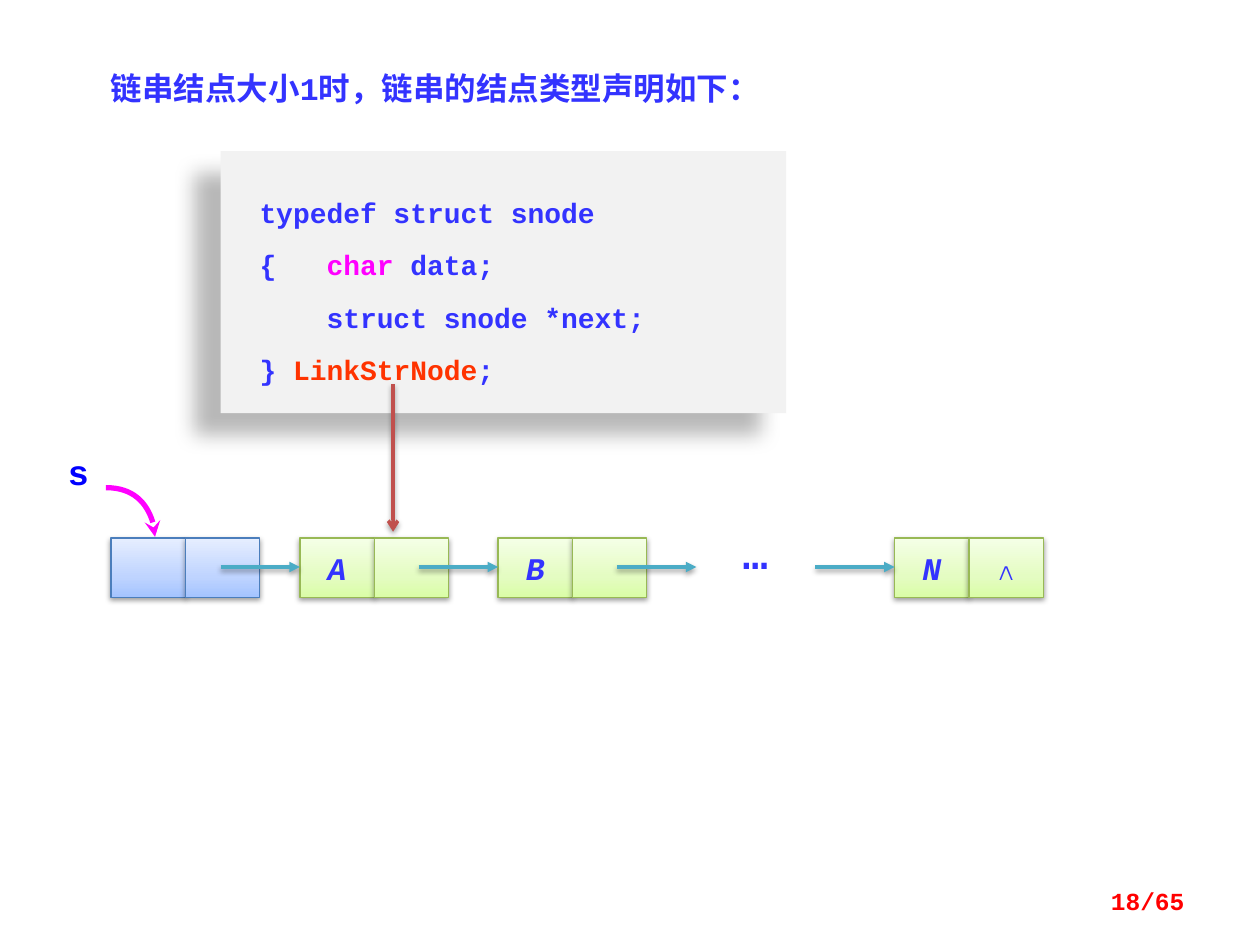
import copy
from dataclasses import dataclass

import pptx
import pptx.dml.color
import pptx.enum.dml
import pptx.enum.shapes
import pptx.enum.text
import pptx.oxml
import pptx.oxml.ns
import pptx.util
from pptx.util import Inches, Pt

RGBColor = pptx.dml.color.RGBColor
PP_ALIGN = pptx.enum.text.PP_ALIGN
MSO_ANCHOR = pptx.enum.text.MSO_ANCHOR
MSO_SHAPE = pptx.enum.shapes.MSO_SHAPE
qn = pptx.oxml.ns.qn

FONT = "Courier New"
BLUE = RGBColor(0x33, 0x33, 0xFF)
POINTER_BLUE = RGBColor(0x00, 0x00, 0xFF)
MAGENTA = RGBColor(0xFF, 0x00, 0xFF)
ORANGE = RGBColor(0xFF, 0x33, 0x00)
RED = RGBColor(0xFF, 0x00, 0x00)
PANEL_GREY = RGBColor(0xF2, 0xF2, 0xF2)
LINK_TEAL = RGBColor(0x4B, 0xAC, 0xC6)
TYPE_RED = RGBColor(0xC0, 0x50, 0x4D)

CELL_WIDTH, CELL_HEIGHT = 0.59, 0.47
NODE_TOP, LINK_Y, LINK_LENGTH = 4.27, 4.5, 0.63
HEAD_LEFT, FIRST_LEFT, LAST_LEFT = 0.88, 2.38, 7.1
PITCH = (LAST_LEFT - FIRST_LEFT) / 3


@dataclass(frozen=True)
class Shadow:
    blur: float
    distance: float
    angle: int
    opacity: int


@dataclass(frozen=True)
class Palette:
    bottom: RGBColor
    middle: RGBColor
    top: RGBColor
    outline: RGBColor


@dataclass(frozen=True)
class Node:
    left: float
    palette: Palette
    data: str = ""
    link: str = ""


SOFT = Shadow(3.1, 1.6, 90, 38)
DEEP = Shadow(11.8, 19.7, 141, 28)
HEAD = Palette(RGBColor(0xA4, 0xC4, 0xFF), RGBColor(0xBF, 0xD4, 0xFF),
               RGBColor(0xE6, 0xEE, 0xFF), RGBColor(0x4B, 0x7E, 0xBC))
DATA = Palette(RGBColor(0xDA, 0xFD, 0xA7), RGBColor(0xE4, 0xFC, 0xC2),
               RGBColor(0xF5, 0xFF, 0xE7), RGBColor(0x98, 0xB9, 0x55))
NODES = [
    Node(HEAD_LEFT, HEAD),
    Node(FIRST_LEFT, DATA, "A"),
    Node(FIRST_LEFT + PITCH, DATA, "B"),
    Node(LAST_LEFT, DATA, "N", "∧"),
]
CODE = [
    [("typedef struct snode", BLUE)],
    [("{   ", BLUE), ("char ", MAGENTA), ("data;", BLUE)],
    [("    struct snode *next;", BLUE)],
    [("} ", BLUE), ("LinkStrNode", ORANGE), (";", BLUE)],
]


def cast_shadow(shape, shadow: Shadow) -> None:
    """Add an outer shadow; call after fill and line are set."""
    shape._element.spPr.append(pptx.oxml.parse_xml(
        f'<a:effectLst {pptx.oxml.ns.nsdecls("a")}>'
        f'<a:outerShdw blurRad="{Pt(shadow.blur)}" dist="{Pt(shadow.distance)}"'
        f' dir="{shadow.angle * 60000}" rotWithShape="0">'
        f'<a:srgbClr val="000000"><a:alpha val="{shadow.opacity * 1000}"/>'
        '</a:srgbClr></a:outerShdw></a:effectLst>'))


def style_line(shape, color: RGBColor, width: float, arrowhead: str = "") -> None:
    shape.line.color.rgb = color
    shape.line.width = Pt(width)
    if arrowhead:
        shape._element.spPr.find(qn("a:ln")).append(pptx.oxml.parse_xml(
            f'<a:tailEnd {pptx.oxml.ns.nsdecls("a")} type="{arrowhead}"/>'))


def set_font(para, size: float, color: RGBColor, italic: bool = False) -> None:
    font = para.font
    font.name, font.size, font.bold, font.italic = FONT, Pt(size), True, italic
    font.color.rgb = color


def add_label(page, text: str, left: float, top: float, width: float,
              height: float, size: float, color: RGBColor, align: PP_ALIGN,
              anchor: MSO_ANCHOR = MSO_ANCHOR.TOP) -> None:
    box = page.shapes.add_textbox(Inches(left), Inches(top),
                                  Inches(width), Inches(height))
    frame = box.text_frame
    frame.word_wrap = True
    frame.vertical_anchor = anchor
    para = frame.paragraphs[0]
    para.text, para.alignment = text, align
    set_font(para, size, color)


def add_title(page, text: str) -> None:
    title = page.shapes.title
    title.left, title.top = Inches(0.78), Inches(0.47)
    title.width, title.height = Inches(7.14), Inches(0.41)
    title.text_frame.vertical_anchor = MSO_ANCHOR.TOP
    para = title.text_frame.paragraphs[0]
    para.text, para.alignment, para.line_spacing = text, PP_ALIGN.JUSTIFY, 1.1
    set_font(para, 18, BLUE)


def add_code_panel(page) -> None:
    panel = page.shapes.add_shape(MSO_SHAPE.RECTANGLE, Inches(1.75), Inches(1.2),
                                  Inches(4.49), Inches(2.08))
    panel.fill.solid()
    panel.fill.fore_color.rgb = PANEL_GREY
    panel.line.fill.background()
    cast_shadow(panel, DEEP)
    frame = panel.text_frame
    frame.word_wrap = True
    frame.vertical_anchor = MSO_ANCHOR.TOP
    frame.margin_left, frame.margin_right = Inches(0.31), Inches(0.1)
    frame.margin_top = frame.margin_bottom = Inches(0.2)
    for index, line in enumerate(CODE):
        para = frame.add_paragraph() if index else frame.paragraphs[0]
        para.alignment, para.line_spacing = PP_ALIGN.LEFT, Pt(30)
        set_font(para, 16, BLUE)
        for text, color in line:
            span = para.add_run()
            span.text = text
            span.font.color.rgb = color


def add_cell(page, left: float, palette: Palette, text: str, italic: bool) -> None:
    cell = page.shapes.add_shape(MSO_SHAPE.RECTANGLE, Inches(left), Inches(NODE_TOP),
                                 Inches(CELL_WIDTH), Inches(CELL_HEIGHT))
    cell.fill.gradient()
    cell.fill.gradient_angle = 90
    first_stop = cell._element.spPr.find(".//" + qn("a:gs"))
    first_stop.addnext(copy.deepcopy(first_stop))
    colors = (palette.bottom, palette.middle, palette.top)
    for stop, color, position in zip(cell.fill.gradient_stops, colors, (0, 0.35, 1)):
        stop.color.rgb = color
        stop.position = position
    style_line(cell, palette.outline, 0.75)
    cast_shadow(cell, SOFT)
    if text:
        cell.text_frame.word_wrap = False
        para = cell.text_frame.paragraphs[0]
        para.text, para.alignment = text, PP_ALIGN.CENTER
        set_font(para, 18, BLUE, italic)


def add_arrow(page, start: tuple[float, float], end: tuple[float, float],
              color: RGBColor, arrowhead: str) -> None:
    arrow = page.shapes.add_connector(pptx.enum.shapes.MSO_CONNECTOR.STRAIGHT,
                                      *map(Inches, start + end))
    style_line(arrow, color, 2, arrowhead)
    cast_shadow(arrow, SOFT)


def add_head_pointer(page) -> None:
    """Draw the quarter-circle arrow from s to the head node."""
    size = Inches(0.39)
    builder = page.shapes.build_freeform(0, 0)
    builder.add_line_segments([(size, size)], close=False)
    curve = builder.convert_to_shape(Inches(0.84), Inches(3.87))
    segment = curve._element.spPr.find(".//" + qn("a:lnTo"))
    points = [(round(size * 0.55), 0), (size, round(size * 0.45)), (size, size)]
    segment.getparent().replace(segment, pptx.oxml.parse_xml(
        f'<a:cubicBezTo {pptx.oxml.ns.nsdecls("a")}>'
        + "".join(f'<a:pt x="{x}" y="{y}"/>' for x, y in points)
        + "</a:cubicBezTo>"))
    curve.fill.background()
    style_line(curve, MAGENTA, 3, "stealth")
    curve.shadow.inherit = False


def main() -> None:
    deck = pptx.Presentation()
    deck.slide_width, deck.slide_height = Inches(10), Inches(7.5)
    page = deck.slides.add_slide(deck.slide_layouts.get_by_name("Title Only"))
    add_title(page, "链串结点大小1时，链串的结点类型声明如下：")
    add_code_panel(page)
    for node in NODES:
        add_cell(page, node.left, node.palette, node.data, True)
        add_cell(page, node.left + CELL_WIDTH, node.palette, node.link, False)
    add_label(page, "…", 5.68, 4.14, 0.63, 0.5, 24, BLUE, PP_ALIGN.CENTER)
    add_head_pointer(page)
    for slot in range(4):
        end = FIRST_LEFT + slot * PITCH
        add_arrow(page, (end - LINK_LENGTH, LINK_Y), (end, LINK_Y), LINK_TEAL, "triangle")
    add_label(page, "s", 0.44, 3.53, 0.47, 0.44, 20, POINTER_BLUE, PP_ALIGN.LEFT)
    add_arrow(page, (3.12, 3.05), (3.12, 4.22), TYPE_RED, "arrow")
    add_label(page, "18/65", 7.17, 6.95, 2.33, 0.4, 14, RED, PP_ALIGN.RIGHT,
              MSO_ANCHOR.MIDDLE)
    deck.save("out.pptx")


if __name__ == "__main__":
    main()
